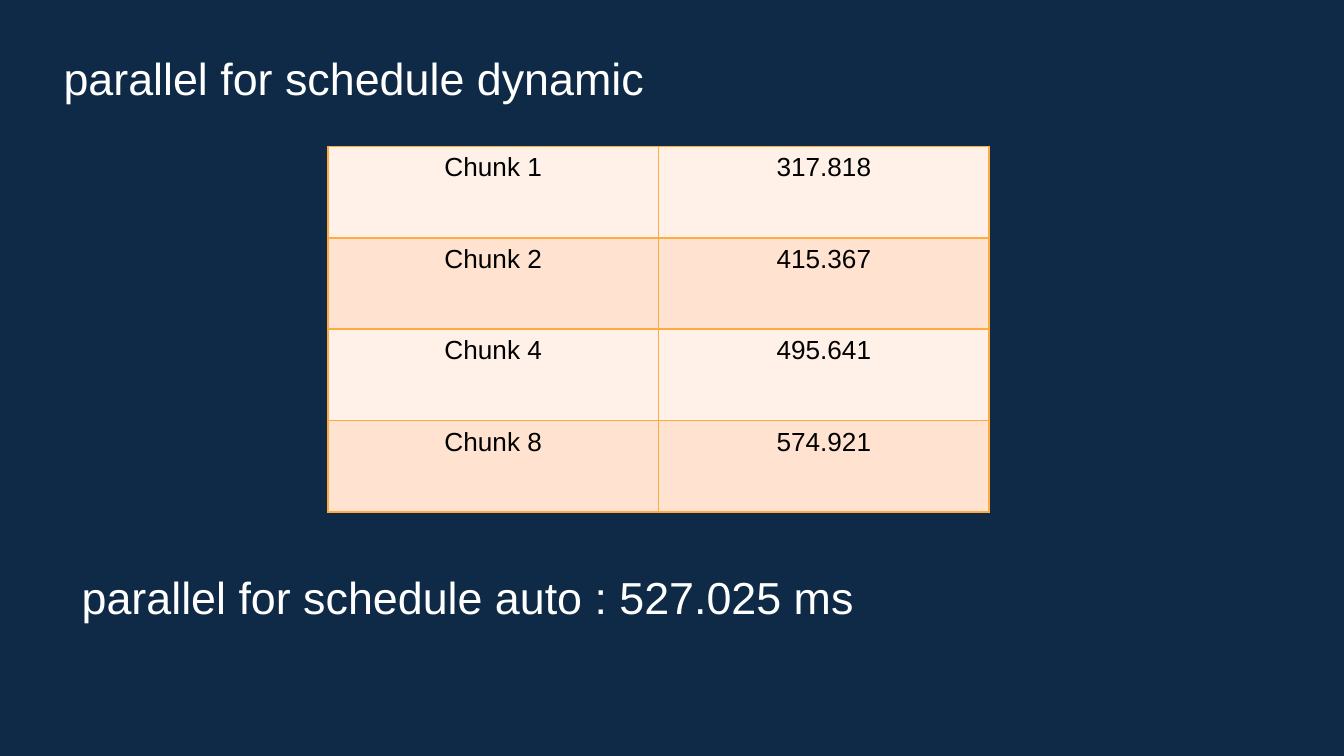
import pptx
import pptx.util
import pptx.dml.color
import pptx.enum.text
import pptx.oxml
import pptx.oxml.ns
from pptx.util import Inches

RGBColor = pptx.dml.color.RGBColor
PP_ALIGN = pptx.enum.text.PP_ALIGN
NAVY = RGBColor(0x0E, 0x2A, 0x47)
WHITE = RGBColor(0xFF, 0xFF, 0xFF)
BLACK = RGBColor(0x00, 0x00, 0x00)
ORANGE = RGBColor(0xFF, 0xAB, 0x40)
BANDS = [RGBColor(0xFF, 0xF1, 0xE8), RGBColor(0xFF, 0xE2, 0xCF)]


def write(tf, text, size=24, color=WHITE, align=PP_ALIGN.LEFT):
    p = tf.paragraphs[0]
    p.alignment = align
    r = p.add_run()
    r.text = text
    r.font.name = "Arial"
    r.font.size = pptx.util.Pt(size)
    r.font.color.rgb = color


def add_borders(cell, color, width):
    tc_pr = cell._tc.get_or_add_tcPr()
    for i, side in enumerate(["lnL", "lnR", "lnT", "lnB"]):
        tc_pr.insert(i, pptx.oxml.parse_xml(
            f'<a:{side} {pptx.oxml.ns.nsdecls("a")} w="{pptx.util.Pt(width)}">'
            f'<a:solidFill><a:srgbClr val="{color}"/></a:solidFill></a:{side}>'))


prs = pptx.Presentation()
prs.slide_width = Inches(10)
prs.slide_height = prs.slide_width * 9 // 16
s = prs.slides.add_slide(prs.slide_layouts[5])
s.background.fill.solid()
s.background.fill.fore_color.rgb = NAVY

title = s.shapes.title
title.left, title.top = Inches(0.16), Inches(0.25)
title.width, title.height = Inches(4.73), Inches(0.63)
auto = s.shapes.add_textbox(Inches(0.51), Inches(4.11), Inches(6.24), Inches(0.63))

for sp, text, align in [
    (title, "parallel for schedule dynamic", PP_ALIGN.RIGHT),
    (auto, "parallel for schedule auto : 527.025 ms", PP_ALIGN.LEFT),
]:
    tf = sp.text_frame
    tf.word_wrap = True
    tf.auto_size = pptx.enum.text.MSO_AUTO_SIZE.NONE
    tf.vertical_anchor = pptx.enum.text.MSO_ANCHOR.BOTTOM
    tf.margin_left = tf.margin_right = Inches(0.1)
    tf.margin_top = tf.margin_bottom = Inches(0.1)
    write(tf, text, align=align)

timings = [
    ("Chunk 1", "317.818"),
    ("Chunk 2", "415.367"),
    ("Chunk 4", "495.641"),
    ("Chunk 8", "574.921"),
]
table = s.shapes.add_table(
    len(timings), 2, Inches(2.44), Inches(1.09), Inches(4.92), Inches(2.72)).table
table.first_row = False
table.horz_banding = False
for row, timing in enumerate(timings):
    for col, text in enumerate(timing):
        cell = table.cell(row, col)
        cell.fill.solid()
        cell.fill.fore_color.rgb = BANDS[row % 2]
        add_borders(cell, ORANGE, 1)
        write(cell.text_frame, text, size=14, color=BLACK, align=PP_ALIGN.CENTER)

prs.save("out.pptx")
